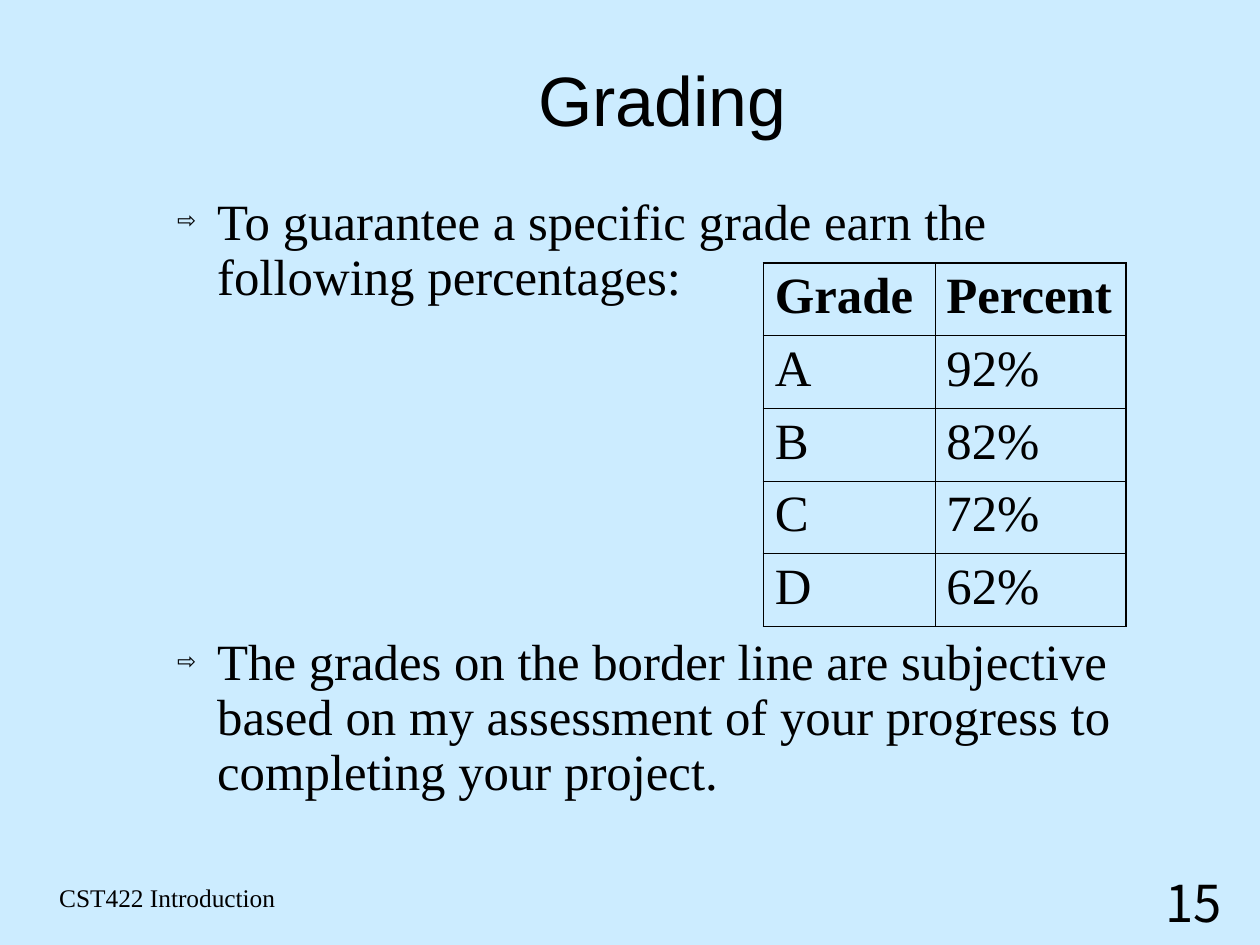
from lxml.etree import SubElement as Sub
from pptx import Presentation
from pptx.dml.color import RGBColor as Rgb
from pptx.enum.text import MSO_ANCHOR as Anchor, MSO_AUTO_SIZE as Fit, PP_ALIGN as Align
from pptx.oxml.ns import qn
from pptx.util import Inches, Pt

COLORS = {"ground": "CCECFF", "ink": "000000"}
SERIF = "Times New Roman"
GRADES = [("Grade", "Percent"), ("A", "92%"), ("B", "82%"), ("C", "72%"), ("D", "62%")]
POINTS = [
    ("To guarantee a specific grade earn the following percentages:", 0),
    ("The grades on the border line are subjective based on my assessment "
     "of your progress to completing your project.", 194),
]


def write(par, text, size=32, font=SERIF, bold=False, align=Align.LEFT,
          before=0, after=0, line=None):
    par.alignment = align
    par.space_before, par.space_after = Pt(before), Pt(after)
    if line:
        par.line_spacing = line
    run = par.add_run()
    run.text = text
    face = run.font
    face.name, face.size, face.bold = font, Pt(size), bold
    face.color.rgb = Rgb.from_string(COLORS["ink"])


def place(shape, box):
    shape.left, shape.top, shape.width, shape.height = map(Inches, box)


def frame(shape, anchor):
    body = shape.text_frame
    body.margin_left = body.margin_right = body.margin_top = body.margin_bottom = 0
    body.word_wrap, body.auto_size = True, Fit.NONE
    body.vertical_anchor = anchor
    return body


def bullet(par):
    props = par._p.get_or_add_pPr()
    props.set("marL", str(Inches(0.47)))
    props.set("indent", str(Inches(-0.35)))
    Sub(Sub(props, qn("a:buClr")), qn("a:srgbClr"), val=COLORS["ink"])
    Sub(props, qn("a:buSzPct"), val="45000")
    Sub(props, qn("a:buChar"), char="⇨")


def add_title(slide, box):
    title = slide.shapes.title
    place(title, box)
    write(frame(title, Anchor.MIDDLE).paragraphs[0], "Grading",
          size=44, font="Arial", align=Align.CENTER)


def add_points(slide, box):
    holder = slide.placeholders[1]
    place(holder, box)
    body = frame(holder, Anchor.TOP)
    for i, (text, gap) in enumerate(POINTS):
        par = body.add_paragraph() if i else body.paragraphs[0]
        write(par, text, before=gap, after=14.1, line=0.9)
        bullet(par)


def border(cell, edges):
    props = cell._tc.get_or_add_tcPr()
    for side, outer in edges.items():
        line = Sub(props, qn("a:ln" + side), w=str(Pt(1.08 if outer else 0.45)))
        Sub(Sub(line, qn("a:solidFill")), qn("a:srgbClr"), val=COLORS["ink"])


def add_grades(slide, box):
    rows, cols = len(GRADES), len(GRADES[0])
    width, height = box[2:]
    table = slide.shapes.add_table(rows, cols, *map(Inches, box)).table
    table.first_row = table.horz_banding = False
    for col, wide in zip(table.columns, (1.5, width - 1.5)):
        col.width = Inches(wide)
    for r, texts in enumerate(GRADES):
        table.rows[r].height = Inches(height / rows)
        for c, text in enumerate(texts):
            cell = table.cell(r, c)
            border(cell, {"L": c == 0, "R": c == cols - 1,
                          "T": r == 0, "B": r == rows - 1})
            cell.fill.background()
            write(cell.text_frame.paragraphs[0], text, bold=r == 0)


def add_label(slide, box, text, **look):
    body = slide.shapes.add_textbox(*map(Inches, box)).text_frame
    body.word_wrap = True
    write(body.paragraphs[0], text, **look)


def main():
    deck = Presentation()
    deck.slide_width, deck.slide_height = Inches(28 / 2.54), Inches(21 / 2.54)
    slide = deck.slides.add_slide(deck.slide_layouts[1])
    fill = slide.background.fill
    fill.solid()
    fill.fore_color.rgb = Rgb.from_string(COLORS["ground"])
    add_label(slide, (0.42, 7.67, 4.33, 0.37), "CST422 Introduction", size=16)
    add_label(slide, (10.1, 7.58, 0.92, 0.64), "15", font="Noto Sans CJK JP")
    add_title(slide, (0.57, 0.17, 10.45, 1.38))
    add_points(slide, (1.43, 1.72, 8.83, 5.67))
    add_grades(slide, (6.68, 2.3, 3.17, 3.18))
    deck.save("out.pptx")


if __name__ == "__main__":
    main()
